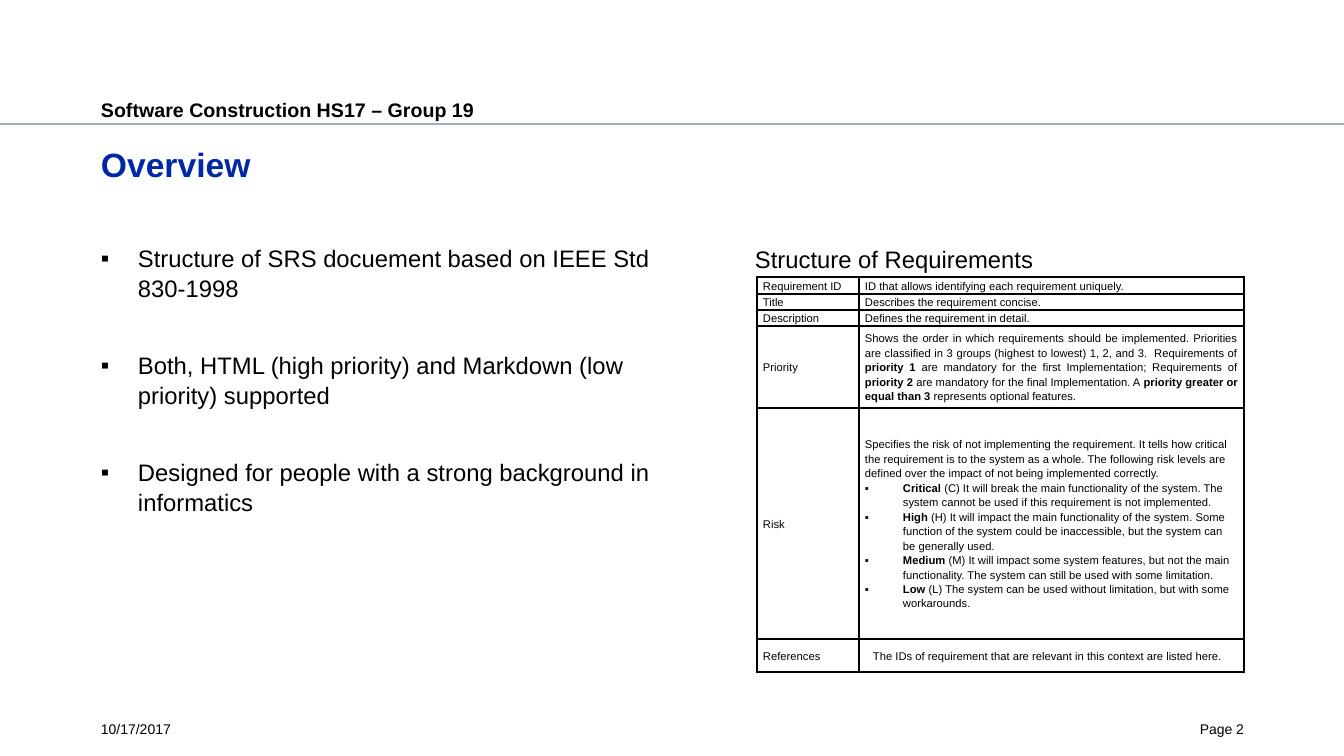
from lxml import etree
from pptx import Presentation
from pptx.dml.color import RGBColor
from pptx.enum.shapes import MSO_CONNECTOR
from pptx.enum.text import MSO_ANCHOR, PP_ALIGN
from pptx.oxml.ns import qn
from pptx.util import Pt

SCALE = 914400 / 100.8
LEFT, RIGHT, JUST = PP_ALIGN.LEFT, PP_ALIGN.RIGHT, PP_ALIGN.JUSTIFY
TOP, MIDDLE = MSO_ANCHOR.TOP, MSO_ANCHOR.MIDDLE
STRAIGHT = MSO_CONNECTOR.STRAIGHT
COLORS = {"text": "000000", "title": "0028A5", "rule": "A3ADB7"}
FONT = "Arial"
SIDES = "lnL", "lnR", "lnT", "lnB"

POINTS = [
    "Structure of SRS docuement based on IEEE Std 830-1998",
    "Both, HTML (high priority) and Markdown (low priority) supported",
    "Designed for people with a strong background in informatics",
]
RISKS = [
    "*Critical* (C) It will break the main functionality of the system. "
    "The system cannot be used if this requirement is not implemented.",
    "*High* (H) It will impact the main functionality of the system. Some function "
    "of the system could be inaccessible, but the system can be generally used.",
    "*Medium* (M) It will impact some system features, but not the main "
    "functionality. The system can still be used with some limitation.",
    "*Low* (L) The system can be used without limitation, but with some workarounds.",
]
ROWS = [
    (17, "Requirement ID", "ID that allows identifying each requirement uniquely."),
    (16, "Title", "Describes the requirement concise."),
    (16, "Description", "Defines the requirement in detail."),
    (82, "Priority",
     "Shows the order in which requirements should be implemented. Priorities are "
     "classified in 3 groups (highest to lowest) 1, 2, and 3.  Requirements of "
     "*priority 1* are mandatory for the first Implementation; Requirements of "
     "*priority 2* are mandatory for the final Implementation. A *priority greater "
     "or equal than 3* represents optional features."),
    (231, "Risk",
     "Specifies the risk of not implementing the requirement. It tells how critical "
     "the requirement is to the system as a whole. The following risk levels are "
     "defined over the impact of not being implemented correctly."),
    (33, "References",
     "The IDs of requirement that are relevant in this context are listed here."),
]


def px(n):
    return round(n * SCALE)


def apply(item, values):
    for name, value in values.items():
        setattr(item, name, value)


def color(name):
    return RGBColor.from_string(COLORS[name])


def write(para, text, size, bold=False, tint="text", **form):
    apply(para, form)
    for i, part in enumerate(text.split("*")):
        if part:
            run = para.add_run()
            run.text = part
            apply(run.font, {"name": FONT, "size": Pt(size), "bold": bold or i % 2 == 1})
            run.font.color.rgb = color(tint)


def indent(para, left, hang=0):
    props = para._p.get_or_add_pPr()
    props.set("marL", str(px(left)))
    props.set("indent", str(-px(hang)))
    if hang:
        etree.SubElement(props, qn("a:buFont")).set("typeface", FONT)
        etree.SubElement(props, qn("a:buChar")).set("char", "▪")


def frame(shape, top=0):
    tf = shape.text_frame
    apply(tf, {"margin_left": 0, "margin_right": 0, "margin_top": px(top),
               "margin_bottom": 0, "word_wrap": True, "vertical_anchor": TOP})
    return tf


def label(slide, box, text, size, top=0, **form):
    shape = slide.shapes.add_textbox(*map(px, box))
    write(frame(shape, top).paragraphs[0], text, size, **form)


def header(slide, box):
    x, y, w, h = box
    line = slide.shapes.add_connector(STRAIGHT, px(x), px(y + h), px(x + w), px(y + h))
    line.line.color.rgb = color("rule")
    line.line.width = Pt(1.25)
    etree.SubElement(line._element.spPr, qn("a:effectLst"))
    label(slide, (x + 101, y, 808, 25), "Software Construction HS17 – Group 19",
          14, top=4, bold=True)


def heading(slide, box):
    title = slide.shapes.title
    apply(title, dict(zip(("left", "top", "width", "height"), map(px, box))))
    write(frame(title, 4).paragraphs[0], "Overview", 24, bold=True,
          tint="title", alignment=LEFT)


def points(slide, box):
    tf = frame(slide.shapes.add_textbox(*map(px, box)))
    for i, text in enumerate(POINTS):
        para = tf.add_paragraph() if i else tf.paragraphs[0]
        write(para, text, 17, line_spacing=1.04, space_after=Pt(34))
        indent(para, 37, 37)


def border(cell):
    props = cell._tc.get_or_add_tcPr()
    for side in SIDES:
        line = etree.SubElement(props, qn("a:" + side), w=str(Pt(1)))
        fill = etree.SubElement(line, qn("a:solidFill"))
        etree.SubElement(fill, qn("a:srgbClr"), val=COLORS["text"])
    cell.fill.background()


def grid(slide, box):
    x, y, w, h = box
    label(slide, (x - 2, y - 32, 456, 28), "Structure of Requirements", 17)
    table = slide.shapes.add_table(len(ROWS), 2, *map(px, box)).table
    apply(table, {"first_row": False, "horz_banding": False})
    for col, wide in zip(table.columns, (102, w - 102)):
        col.width = px(wide)
    for row, (high, *texts) in zip(table.rows, ROWS):
        row.height = px(high)
        for cell, text in zip(row.cells, texts):
            apply(cell, {"margin_left": px(6), "margin_right": px(6), "margin_top": 0,
                         "margin_bottom": 0, "vertical_anchor": MIDDLE})
            border(cell)
            write(cell.text_frame.paragraphs[0], text, 8, line_spacing=1.15,
                  alignment=JUST if "*" in text else LEFT)
    for text in RISKS:
        para = table.cell(4, 1).text_frame.add_paragraph()
        write(para, text, 8, line_spacing=1.15)
        indent(para, 38, 38)
    indent(table.cell(5, 1).text_frame.paragraphs[0], 8)


def footer(slide, box):
    x, y, w, h = box
    label(slide, (x, y, 137, h), "10/17/2017", 10)
    label(slide, (x + w - 92, y, 92, h), "Page 2", 10, alignment=RIGHT)


deck = Presentation()
apply(deck, {"slide_width": px(1344), "slide_height": px(756)})
page = deck.slides.add_slide(deck.slide_layouts[5])
header(page, (0, 94, 1344, 30))
heading(page, (101, 140, 1143, 88))
points(page, (101, 243, 580, 428))
grid(page, (757, 277, 487, 395))
footer(page, (101, 720, 1143, 24))
deck.save("out.pptx")
